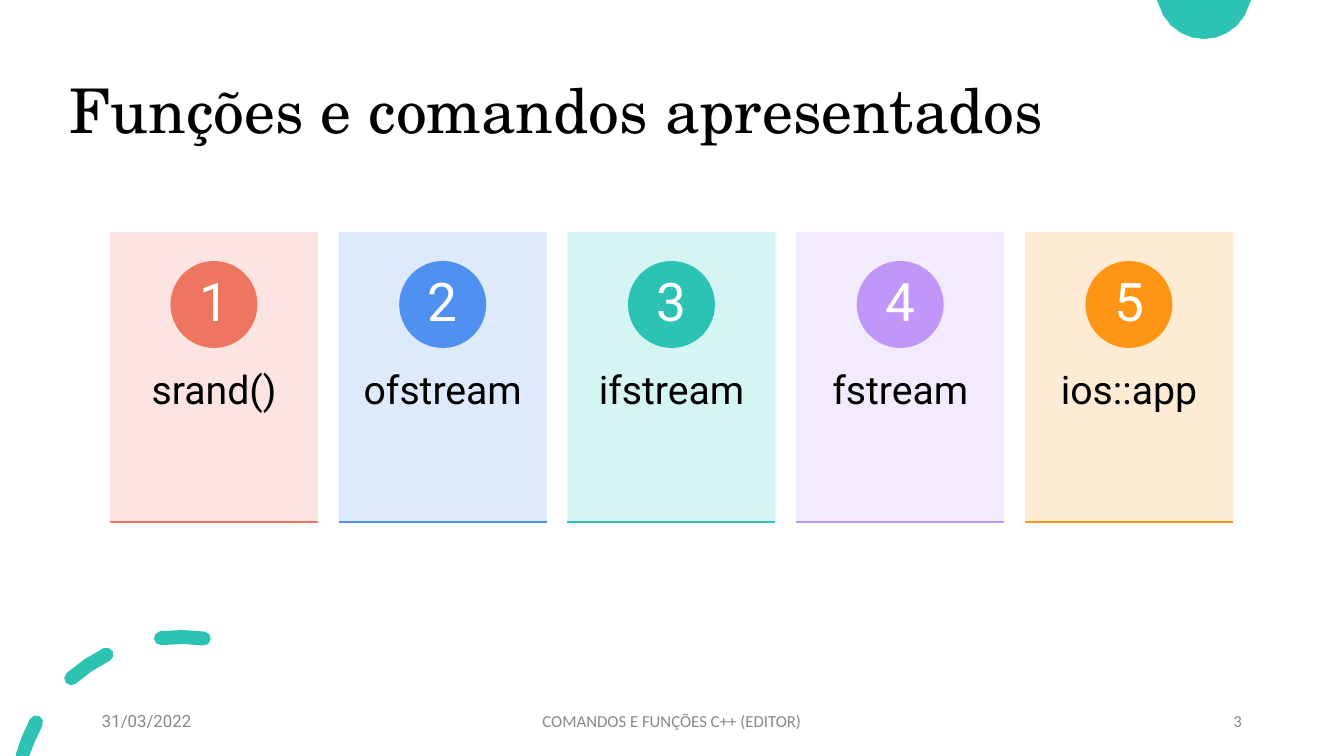
from math import cos, radians, sin

from lxml import etree
from pptx import Presentation
from pptx.dml.color import RGBColor
from pptx.enum.shapes import MSO_CONNECTOR, MSO_SHAPE
from pptx.enum.text import MSO_ANCHOR as Anchor, PP_ALIGN as Align
from pptx.oxml.ns import qn
from pptx.util import Pt

BLACK = RGBColor(0x00, 0x00, 0x00)
WHITE = RGBColor(0xFF, 0xFF, 0xFF)
GREY = RGBColor(0x88, 0x88, 0x88)
TEAL = RGBColor(0x2C, 0xC3, 0xB4)
CORAL = RGBColor(0xEE, 0x76, 0x61)
BLUE = RGBColor(0x4E, 0x91, 0xF0)
LILAC = RGBColor(0xC0, 0x97, 0xF8)
ORANGE = RGBColor(0xFF, 0x95, 0x14)
PALE_CORAL = RGBColor(0xFB, 0xE2, 0xDE)
PALE_BLUE = RGBColor(0xD9, 0xE8, 0xFC)
PALE_TEAL = RGBColor(0xD1, 0xF5, 0xF2)
PALE_LILAC = RGBColor(0xF1, 0xE9, 0xFD)
PALE_ORANGE = RGBColor(0xFE, 0xE9, 0xD0)

TITLE = "Funções e comandos apresentados"
CARDS = [
    ("srand()", CORAL, PALE_CORAL),
    ("ofstream", BLUE, PALE_BLUE),
    ("ifstream", TEAL, PALE_TEAL),
    ("fstream", LILAC, PALE_LILAC),
    ("ios::app", ORANGE, PALE_ORANGE),
]
# text, left, width, alignment, font
FOOTERS = [
    ("31/03/2022", 92, 302, Align.LEFT, "Roboto"),
    ("COMANDOS E FUNÇÕES C++ (EDITOR)", 445, 454, Align.CENTER, "Calibri"),
    ("3", 950, 302, Align.RIGHT, "Calibri"),
]

EMU_PER_PX = 914400 / 100.8
SLIDE_W, SLIDE_H = 1344, 756
TITLE_BOX = (59, 41, 1159, 146)
FOOTER_TOP, FOOTER_H = 701, 40
ROW_LEFT, ROW_W = 110, 1123
CARD_TOP, CARD_W, CARD_H = 232, 208, 290
CARD_STEP = (ROW_W - CARD_W) / (len(CARDS) - 1)
BADGE_TOP, BADGE, NUMBER = 261, 87, 61
LABEL_TOP, LABEL_H = 342, 174
DISC_CENTRE, DISC_RADIUS = (1204, -8), 47
DASH_CENTRE, DASH_RX, DASH_RY, DASH_HALF = (181, 798), 164, 161, 7
DASH_SPANS = [(-75, -62), (-42, -27), (-7, 8)]  # degrees from the top


def px(*lengths):
    return [round(length * EMU_PER_PX) for length in lengths]


def write(shape, text, align, anchor, insets, spacing=1.0, **font):
    frame = shape.text_frame
    frame.text = text
    left, top = px(*insets)
    frame_format = {
        "word_wrap": True, "vertical_anchor": anchor,
        "margin_left": left, "margin_right": left,
        "margin_top": top, "margin_bottom": top,
    }
    for name, value in frame_format.items():
        setattr(frame, name, value)
    paragraph = frame.paragraphs[0]
    paragraph.alignment = align
    paragraph.line_spacing = spacing
    run_font = paragraph.runs[0].font
    run_font.color.rgb = font.pop("color")
    for name, value in font.items():
        setattr(run_font, name, value)


def paint(shape, color):
    shape.shadow.inherit = False
    shape.fill.solid()
    shape.fill.fore_color.rgb = color
    shape.line.fill.background()


def arc(centre, rx, ry, start, end, parts):
    """Points along an ellipse, with angles clockwise from the top."""
    angles = [radians(start + (end - start) * i / parts) for i in range(parts + 1)]
    return [(centre[0] + rx * sin(a), centre[1] - ry * cos(a)) for a in angles]


def dash_outline(start, end):
    """A thick piece of arc with round ends."""
    def edge(offset, first, last):
        return arc(DASH_CENTRE, DASH_RX + offset, DASH_RY + offset, first, last, 2)

    def cap(angle, first):
        middle = arc(DASH_CENTRE, DASH_RX, DASH_RY, angle, angle, 1)[0]
        return arc(middle, DASH_HALF, DASH_HALF, first, first + 180, 4)[1:-1]

    return (edge(DASH_HALF, start, end) + cap(end, end)
            + edge(-DASH_HALF, end, start) + cap(start, start + 180))


def add_outlines(shapes, outlines, color):
    """One freeform made of closed outlines, cut off at the slide edges."""
    cut = [[px(x, min(max(y, 0), SLIDE_H)) for x, y in points] for points in outlines]
    builder = shapes.build_freeform(*cut[0][0])
    for index, points in enumerate(cut):
        if index:
            builder.move_to(*points[0])
        builder.add_line_segments(points[1:], close=True)
    paint(builder.convert_to_shape(), color)


def add_card(shapes, number, label, strong, pale):
    left = ROW_LEFT + (number - 1) * CARD_STEP
    bottom = CARD_TOP + CARD_H

    panel = shapes.add_shape(MSO_SHAPE.RECTANGLE, *px(left, CARD_TOP, CARD_W, CARD_H))
    paint(panel, pale)
    tint = panel.fill._xPr.find(".//" + qn("a:srgbClr"))
    etree.SubElement(tint, qn("a:alpha"), val="90000")

    caption = shapes.add_textbox(*px(left, LABEL_TOP, CARD_W, LABEL_H))
    write(caption, label, Align.CENTER, Anchor.TOP, (16, 49),
          name="Roboto", size=Pt(28), color=BLACK)

    badge_left = left + (CARD_W - BADGE) / 2
    badge = shapes.add_shape(MSO_SHAPE.OVAL, *px(badge_left, BADGE_TOP, BADGE, BADGE))
    paint(badge, strong)

    inset = (BADGE - NUMBER) / 2
    digit = shapes.add_textbox(*px(badge_left + inset, BADGE_TOP + inset, NUMBER, NUMBER))
    write(digit, str(number), Align.CENTER, Anchor.MIDDLE, (7, 1), 0.9,
          name="Roboto", size=Pt(38), color=WHITE)

    base = shapes.add_connector(MSO_CONNECTOR.STRAIGHT,
                                *px(left, bottom, left + CARD_W, bottom))
    base.line.color.rgb = strong
    base.line.width = Pt(1)
    etree.SubElement(base._element.spPr, qn("a:effectLst"))


def main():
    deck = Presentation()
    deck.slide_width, deck.slide_height = px(SLIDE_W, SLIDE_H)
    slide = deck.slides.add_slide(deck.slide_layouts[5])
    shapes = slide.shapes

    title = shapes.title
    title.left, title.top, title.width, title.height = px(*TITLE_BOX)
    write(title, TITLE, Align.LEFT, Anchor.MIDDLE, (10, 5), 0.9,
          name="TeX Gyre Schola", size=Pt(44), color=BLACK)

    add_outlines(shapes, [arc(DISC_CENTRE, DISC_RADIUS, DISC_RADIUS, 90, 270, 12)], TEAL)
    add_outlines(shapes, [dash_outline(*span) for span in DASH_SPANS], TEAL)

    for number, card in enumerate(CARDS, 1):
        add_card(shapes.add_group_shape().shapes, number, *card)

    for text, left, width, align, font in FOOTERS:
        footer = shapes.add_textbox(*px(left, FOOTER_TOP, width, FOOTER_H))
        write(footer, text, align, Anchor.MIDDLE, (10, 5),
              name=font, size=Pt(12), color=GREY)

    deck.save("out.pptx")


if __name__ == "__main__":
    main()
